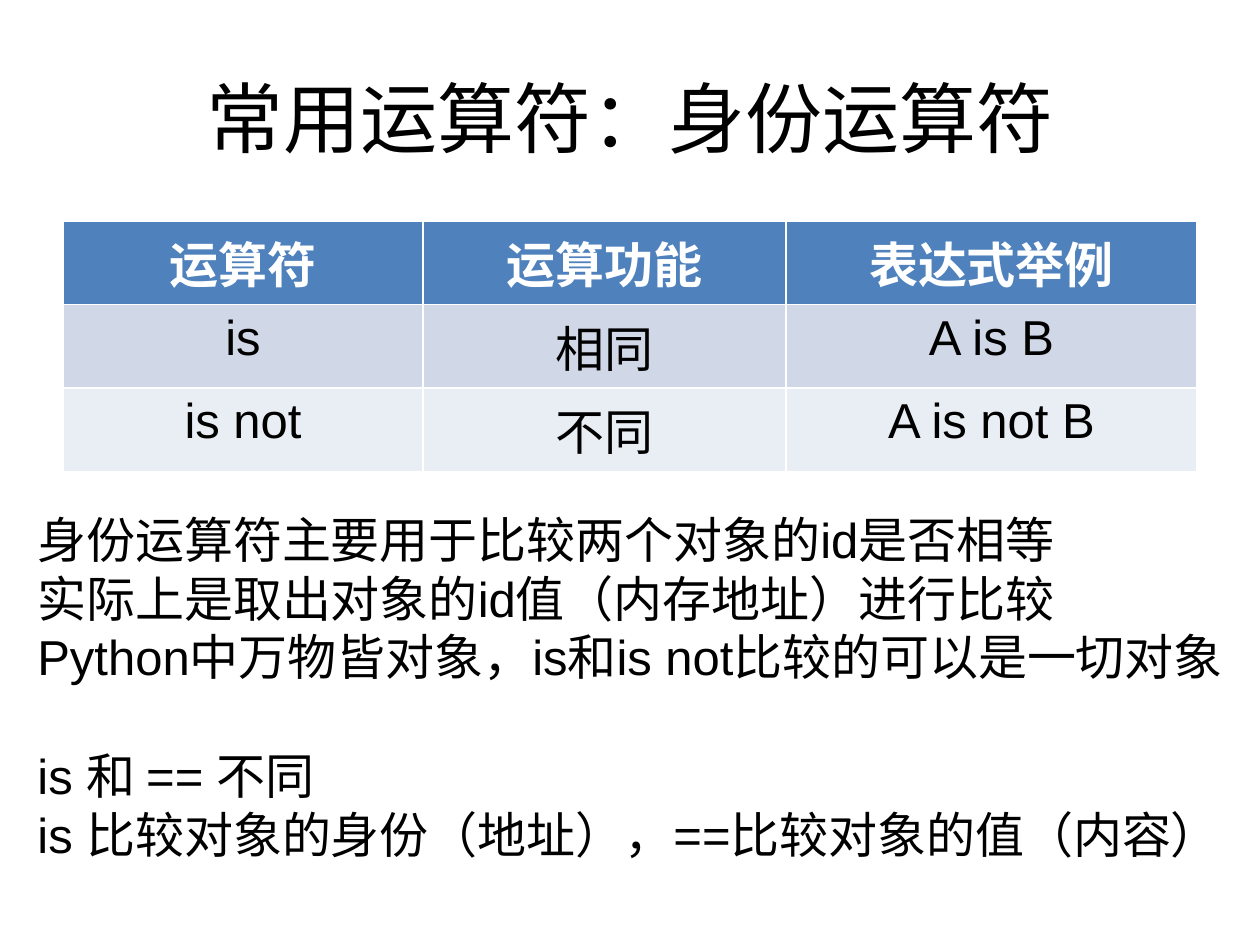
from pptx import Presentation
from pptx.dml.color import RGBColor
from pptx.enum.text import MSO_ANCHOR, MSO_AUTO_SIZE, PP_ALIGN
from pptx.util import Pt

CENTER, LEFT = PP_ALIGN.CENTER, PP_ALIGN.LEFT
MIDDLE = MSO_ANCHOR.MIDDLE
GROW = MSO_AUTO_SIZE.SHAPE_TO_FIT_TEXT

TITLE = "常用运算符：身份运算符"
ROWS = [
    ("运算符", "运算功能", "表达式举例"),
    ("is", "相同", "A is B"),
    ("is not", "不同", "A is not B"),
]
FILLS = ["4F81BD", "D0D8E8", "E9EDF4"]
COLS = [360, 363, 411]
ROW = 83
NOTES = [
    ("身份运算符主要用于比较两个对象的id是否相等", 0),
    ("实际上是取出对象的id值（内存地址）进行比较", 0),
    ("Python中万物皆对象，is和is not比较的可以是一切对象", 0),
    ("is 和 == 不同", 34),
    ("is 比较对象的身份（地址），==比较对象的值（内容）", 0),
]
HEAD = {"name": "Courier New", "size": Pt(44), "bold": False}
BODY = {"name": "Arial", "size": Pt(28), "bold": False}


def px(n):
    return round(n * 914400 / 126)


def box(*nums):
    return [px(n) for n in nums]


def paint(code):
    return RGBColor.from_string(code)


def write(para, text, form, align=LEFT, color="000000"):
    para.alignment = align
    run = para.add_run()
    run.text = text
    for key, val in form.items():
        setattr(run.font, key, val)
    run.font.color.rgb = paint(color)


deck = Presentation()
deck.slide_width, deck.slide_height = box(1260, 945)
slide = deck.slides.add_slide(deck.slide_layouts[5])

title = slide.shapes.title
title.left, title.top, title.width, title.height = box(63, 38, 1134, 157)
title.text_frame.vertical_anchor = MIDDLE
write(title.text_frame.paragraphs[0], TITLE, HEAD, CENTER)

area = box(63, 221, sum(COLS), ROW * len(ROWS))
table = slide.shapes.add_table(len(ROWS), len(COLS), *area).table
for col, wide in zip(table.columns, COLS):
    col.width = px(wide)
for r, (row, fill) in enumerate(zip(ROWS, FILLS)):
    table.rows[r].height = px(ROW)
    top = r == 0
    color = "FFFFFF" if top else "000000"
    for c, text in enumerate(row):
        cell = table.cell(r, c)
        cell.fill.solid()
        cell.fill.fore_color.rgb = paint(fill)
        write(cell.text_frame.paragraphs[0], text, {**BODY, "bold": top}, CENTER, color)

frame = slide.shapes.add_textbox(*box(25, 503, 1251, 369)).text_frame
frame.word_wrap = True
frame.auto_size = GROW
for i, (text, gap) in enumerate(NOTES):
    para = frame.add_paragraph() if i else frame.paragraphs[0]
    if gap:
        para.space_before = Pt(gap)
    write(para, text, BODY)

deck.save("out.pptx")
